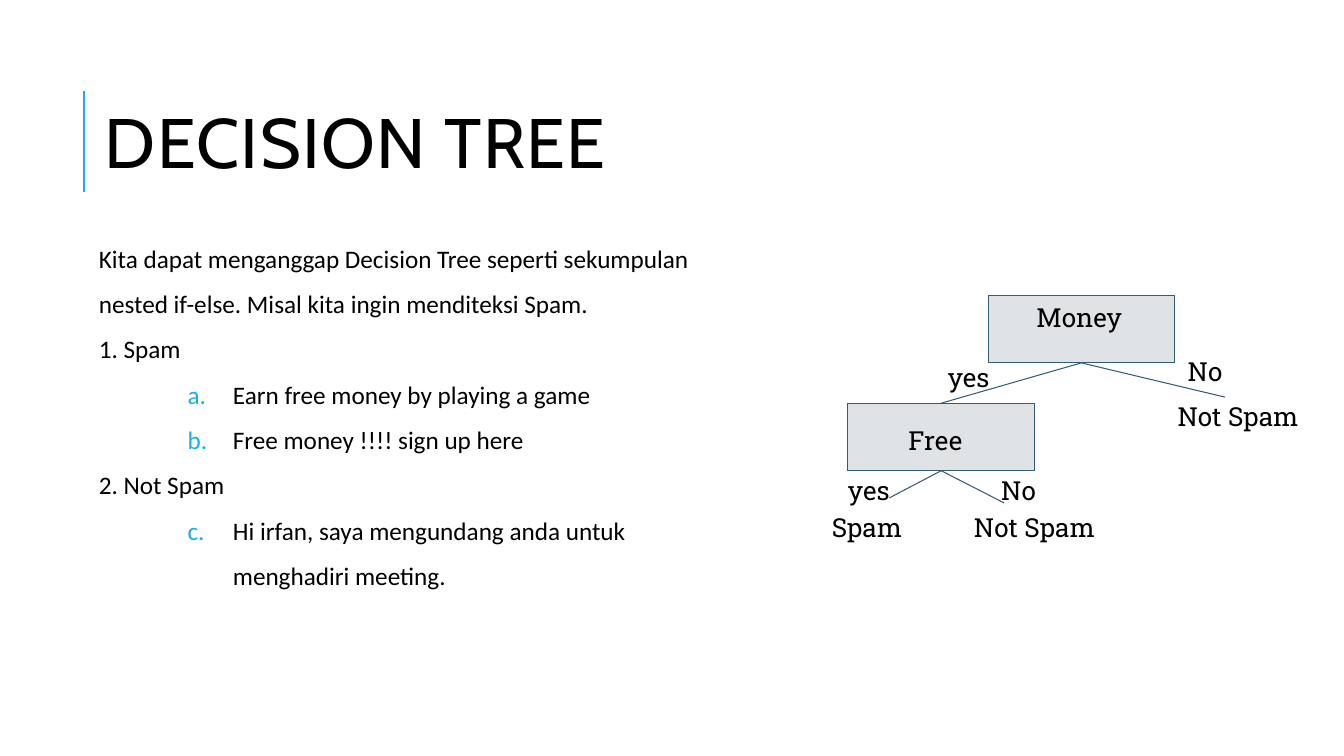
from dataclasses import dataclass

from lxml import etree
from pptx import Presentation
from pptx.dml.color import RGBColor
from pptx.enum.shapes import MSO_CONNECTOR, MSO_SHAPE
from pptx.enum.text import MSO_ANCHOR
from pptx.oxml.ns import qn
from pptx.util import Inches, Pt

RECT = MSO_SHAPE.RECTANGLE
STRAIGHT = MSO_CONNECTOR.STRAIGHT
TOP = MSO_ANCHOR.TOP


@dataclass(frozen=True)
class Theme:
    """Fonts, type sizes and colours of the slide."""
    title_font: str = "Cabin"
    body_font: str = "Calibri"
    tree_font: str = "Roboto Slab"
    title_size: float = 50
    body_size: float = 18
    tree_size: float = 18.7
    text: str = "000000"
    accent: str = "1CADE4"
    node_fill: str = "DFE3E5"
    node_line: str = "335B74"
    inset: float = 0.13


class Deck:
    """Holds the theme and the current slide."""

    def __init__(self, prs, theme):
        """Add a blank slide to draw on."""
        self.theme = theme
        self.s = prs.slides.add_slide(prs.slide_layouts[6])

    def text(self, box, lines, font, size):
        """Add a wrapped text box and return its paragraphs."""
        sp = self.s.shapes.add_textbox(*map(Inches, box))
        tf = sp.text_frame
        inset = Inches(self.theme.inset)
        frame = dict(word_wrap=True, vertical_anchor=TOP, margin_left=inset,
                     margin_right=inset, margin_top=inset, margin_bottom=inset)
        for name, value in frame.items():
            setattr(tf, name, value)
        tf.text = "\n".join(lines)
        for p in tf.paragraphs:
            r = p.runs[0]
            for name, value in dict(name=font, size=Pt(size)).items():
                setattr(r.font, name, value)
            r.font.color.rgb = RGBColor.from_string(self.theme.text)
        return tf.paragraphs

    def number(self, p, start):
        """Give a paragraph a coloured letter and a hanging indent."""
        pPr = p._p.get_or_add_pPr()
        pPr.set("marL", str(Inches(1.33)))
        pPr.set("indent", str(Inches(-0.45)))
        clr = etree.SubElement(pPr, qn("a:buClr"))
        etree.SubElement(clr, qn("a:srgbClr"), val=self.theme.accent)
        etree.SubElement(pPr, qn("a:buAutoNum"), type="alphaLcPeriod",
                         startAt=str(start))

    def node(self, left, top, width, height):
        """Add a decision box; return its top and bottom centres."""
        sp = self.s.shapes.add_shape(
            RECT, *map(Inches, (left, top, width, height)))
        sp.shadow.inherit = False
        sp.fill.solid()
        sp.fill.fore_color.rgb = RGBColor.from_string(self.theme.node_fill)
        self.stroke(sp.line, self.theme.node_line, 0.75)
        middle = left + width / 2
        return (middle, top), (middle, top + height)

    def line(self, start, end, color, weight):
        """Add a straight line without a shadow."""
        cn = self.s.shapes.add_connector(
            STRAIGHT, *map(Inches, (*start, *end)))
        self.stroke(cn.line, color, weight)
        etree.SubElement(cn._element.spPr, qn("a:effectLst"))

    def stroke(self, line, color, weight):
        """Set the colour and weight of a line."""
        line.color.rgb = RGBColor.from_string(color)
        line.width = Pt(weight)


def add_heading(deck):
    """Draw the title and its accent bar."""
    t = deck.theme
    deck.line((0.83, 1.9), (0.83, 0.9), t.accent, 1.5)
    p = deck.text((0.91, 0.85, 12.42, 0.84), ["DECISION TREE"],
                  t.title_font, t.title_size)[0]
    p.runs[0].font._element.set("spc", "100")


def add_body(deck):
    """Write the explanation with its lettered examples."""
    t = deck.theme
    # Each line with its letter number, or None for plain text
    lines = [
        ("Kita dapat menganggap Decision Tree seperti sekumpulan nested "
         "if-else. Misal kita ingin menditeksi Spam.", None),
        ("1. Spam", None),
        ("Earn free money by playing a game", 1),
        ("Free money !!!! sign up here", 1),
        ("2. Not Spam", None),
        ("Hi irfan, saya mengundang anda untuk menghadiri meeting.", 3),
    ]
    paragraphs = deck.text((0.85, 2.13, 6.55, 4.58),
                           [line for line, _ in lines],
                           t.body_font, t.body_size)
    for p, (_, start) in zip(paragraphs, lines):
        p.line_spacing = 1.5
        if start:
            p.level = 1
            deck.number(p, start)


def add_tree(deck):
    """Draw the decision tree: nodes, branches and labels."""
    t = deck.theme
    size = (1.85, 0.67)
    _, money_bottom = deck.node(9.8, 2.93, *size)
    free_top, free_bottom = deck.node(8.41, 4, *size)
    branches = [
        (money_bottom, free_top),
        (free_bottom, (8.82, 4.94)),
        (free_bottom, (9.96, 4.99)),
        (money_bottom, (12.15, 3.94)),
    ]
    for start, end in branches:
        deck.line(start, end, t.node_line, 0.75)
    labels = [
        ("Money", 10.15, 2.99, 1.29, 0.13),
        ("Free", 8.88, 4.08, 1.47, 0.34),
        ("yes", 9.27, 3.45, 0.69, 0.28),
        ("yes", 8.28, 4.58, 0.69, 0.28),
        ("No", 11.65, 3.39, 0.76, 0.28),
        ("No", 9.8, 4.58, 0.76, 0.34),
        ("Spam", 8.12, 4.94, 1.4, 0.42),
        ("Not Spam", 9.53, 4.94, 1.74, 0.42),
        ("Not Spam", 11.55, 3.84, 1.74, 0.42),
    ]
    for label, *box in labels:
        deck.text(box, [label], t.tree_font, t.tree_size)


def main():
    """Build the slide and save it."""
    prs = Presentation()
    prs.slide_width, prs.slide_height = Inches(13.33), Inches(7.5)
    deck = Deck(prs, Theme())
    add_heading(deck)
    add_body(deck)
    add_tree(deck)
    prs.save("out.pptx")


main()
